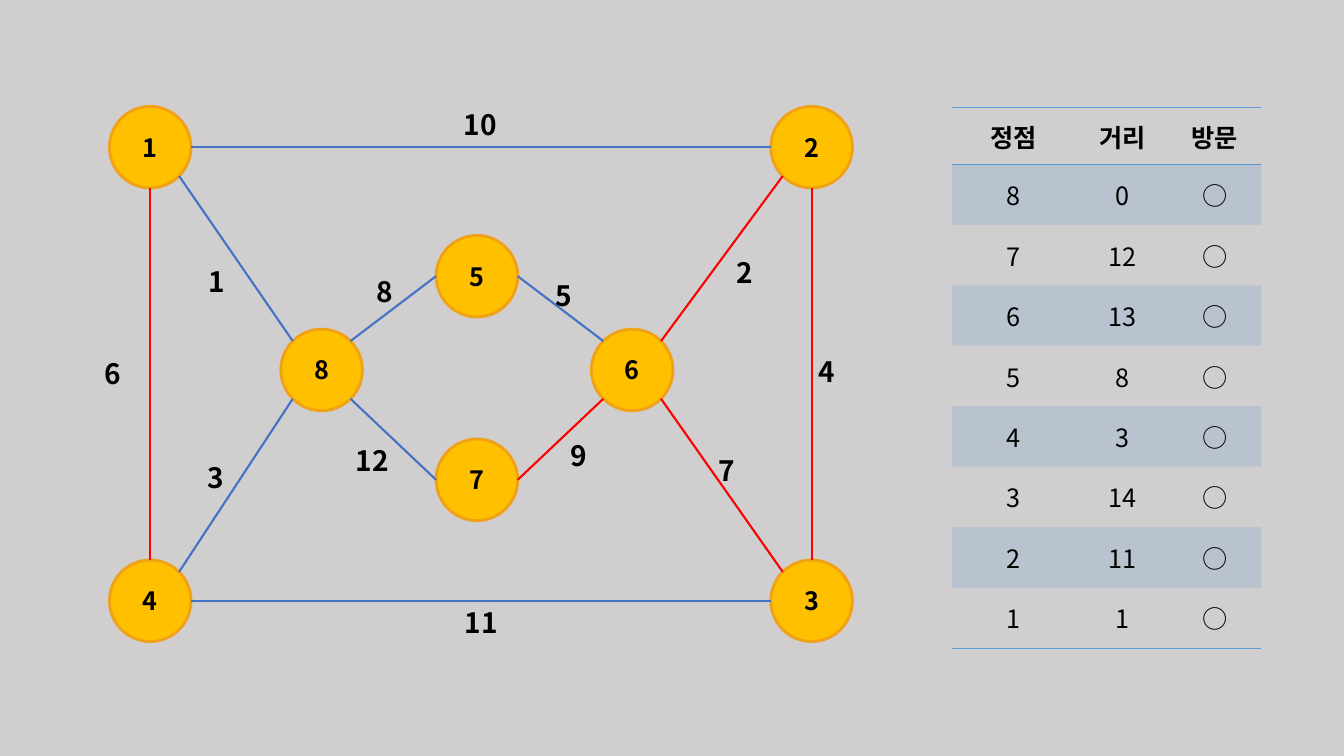
"""Draw a weighted graph beside its table of shortest distances."""
from math import hypot
from lxml import etree
from pptx import Presentation, util as u
from pptx.dml.color import RGBColor
from pptx.enum import shapes, text
from pptx.oxml.ns import qn

FONT = "Noto Sans CJK KR"
HUE = {"back": "D0CECE", "node": "FFC000", "rim": "F1A116", "ink": "000000",
       "blue": "4472C4", "red": "FF0000", "band": "5B9BD5"}
SIZE = 0.81


def rgb(name):
    return RGBColor.from_string(HUE[name])


def write(frame, words, size=18, bold=True, align=text.PP_ALIGN.CENTER):
    para = frame.paragraphs[0]
    para.alignment = align
    run = para.add_run()
    run.text = words
    run.font.size, run.font.bold, run.font.name = u.Pt(size), bold, FONT
    run.font.color.rgb = rgb("ink")
    etree.SubElement(run.font._element, qn("a:ea"), typeface=FONT)


deck = Presentation()
deck.slide_width, deck.slide_height = u.Inches(13.33), u.Inches(7.5)
slide = deck.slides.add_slide(deck.slide_layouts[6])
slide.background.fill.solid()
slide.background.fill.fore_color.rgb = rgb("back")

heads = ["정점", "거리", "방문"]
costs = {8: 0, 7: 12, 6: 13, 5: 8, 4: 3, 3: 14, 2: 11, 1: 1}
rows = [heads] + [[str(node), str(cost), "○"] for node, cost in costs.items()]
table = slide.shapes.add_table(len(rows), 3, u.Inches(9.44), u.Inches(1.07),
                               u.Inches(3.07), u.Inches(5.36)).table
table._tbl.tblPr.find(qn("a:tableStyleId")).text = "{2D5ABB26-0587-4C30-8999-92F81FD0307C}"
for col, width in zip(table.columns, [1.23, 0.92, 0.92]):
    col.width = u.Inches(width)
for r, row in enumerate(rows):
    table.rows[r].height = u.Inches(0.6 if r else 0.56)
    sides = {0: ["lnB", "lnT"], len(rows) - 1: ["lnB"]}.get(r, [])
    for c, words in enumerate(row):
        cell = table.cell(r, c)
        cell.vertical_anchor = text.MSO_ANCHOR.MIDDLE
        write(cell.text_frame, words, bold=r == 0)
        if r % 2:
            cell.fill.solid()
            cell.fill.fore_color.rgb = rgb("band")
            tint = cell._tc.tcPr.find(".//" + qn("a:srgbClr"))
            etree.SubElement(tint, qn("a:alpha"), val="20000")
        else:
            cell.fill.background()
        for side in sides:
            line = etree.Element(qn("a:" + side), w=str(u.Pt(1)))
            solid = etree.SubElement(line, qn("a:solidFill"))
            etree.SubElement(solid, qn("a:srgbClr"), val=HUE["band"])
            cell._tc.tcPr.insert(0, line)

left, right, top, base = 1.49, 8.05, 1.46, 5.96
nodes = {1: (left, top), 2: (right, top), 4: (left, base), 3: (right, base),
         5: (4.73, 2.74), 7: (4.73, 4.76), 6: (6.27, 3.67), 8: (3.19, 3.67)}
for name, (x, y) in nodes.items():
    disc = slide.shapes.add_shape(
        shapes.MSO_SHAPE.OVAL, u.Inches(x - SIZE / 2), u.Inches(y - SIZE / 2),
        u.Inches(SIZE), u.Inches(SIZE))
    disc.shadow.inherit = False
    disc.fill.solid()
    disc.fill.fore_color.rgb = rgb("node")
    disc.line.color.rgb, disc.line.width = rgb("rim"), u.Pt(2)
    disc.text_frame.vertical_anchor = text.MSO_ANCHOR.MIDDLE
    write(disc.text_frame, str(name))

ways = {"N": (0, -1), "S": (0, 1), "W": (-1, 0), "E": (1, 0),
        "NW": (-1, -1), "NE": (1, -1), "SW": (-1, 1), "SE": (1, 1)}
edges = [(1, "E", 2, "W", "blue", "10", 4.5, 1.02),
         (1, "SE", 8, "NW", "blue", "1", 1.97, 2.57),
         (4, "NE", 8, "SW", "blue", "3", 1.96, 4.52),
         (4, "N", 1, "S", "red", "6", 0.94, 3.49),
         (4, "E", 3, "W", "blue", "11", 4.51, 5.96),
         (8, "SE", 7, "W", "blue", "12", 3.43, 4.35),
         (8, "NE", 5, "W", "blue", "8", 3.64, 2.67),
         (5, "E", 6, "NW", "blue", "5", 5.41, 2.71),
         (6, "SE", 3, "NW", "red", "7", 7.03, 4.45),
         (6, "NE", 2, "SW", "red", "2", 7.21, 2.49),
         (3, "N", 2, "S", "red", "4", 8.02, 3.47),
         (7, "E", 6, "SW", "red", "9", 5.56, 4.3)]
for start, out, end, into, hue, cost, x, y in edges:
    spots = []
    for node, way in ((start, out), (end, into)):
        for mid, step in zip(nodes[node], ways[way]):
            spots.append(u.Inches(mid + SIZE / 2 * step / hypot(*ways[way])))
    link = slide.shapes.add_connector(shapes.MSO_CONNECTOR.STRAIGHT, *spots)
    link.line.color.rgb, link.line.width = rgb(hue), u.Pt(1.5)
    etree.SubElement(link._element.spPr, qn("a:effectLst"))
    box = slide.shapes.add_textbox(u.Inches(x), u.Inches(y),
                                   u.Inches(0.19 + 0.17 * len(cost)), u.Inches(0.44))
    box.text_frame.word_wrap = False
    box.text_frame.auto_size = text.MSO_AUTO_SIZE.SHAPE_TO_FIT_TEXT
    write(box.text_frame, cost, size=20, align=text.PP_ALIGN.LEFT)

deck.save("out.pptx")
